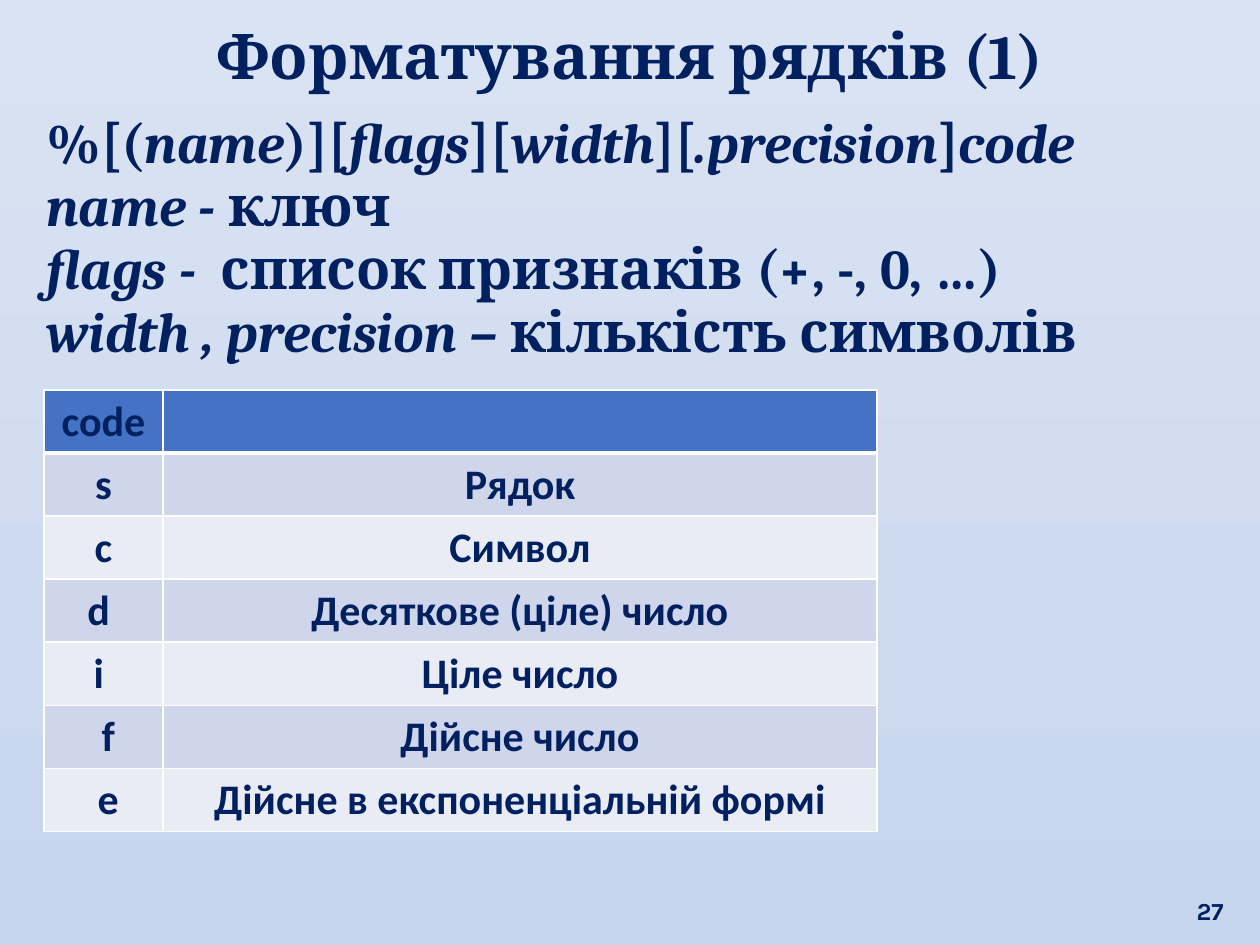
import pptx
import pptx.dml.color
import pptx.enum.text
import pptx.oxml
import pptx.oxml.ns
import pptx.util

PX = 914400 / 126
ALIGN = pptx.enum.text.PP_ALIGN
ANCHOR = pptx.enum.text.MSO_ANCHOR

THEME = {
    "ink": "002060", "head": "4472C4", "bands": ("CFD5EA", "E9EBF5"),
    "line": "FFFFFF", "sky": ("DAE3F3", "C7D5ED"),
    "title": {"name": "Cambria", "size": 36},
    "body": {"name": "Cambria", "size": 32},
    "cell": {"name": "Calibri", "size": 24},
    "page": {"name": "Karla", "size": 14},
}

TITLE = "Форматування рядків (1)"
PAGE = "27"
# Each line is a list of (text, italic) runs.
SYNTAX = [
    [("%[(", False), ("name", True), (")][", False), ("flags", True),
     ("][", False), ("width", True), ("][", False), (".precision", True),
     ("]", False), ("code", True)],
    [("name - ", True), ("ключ", False)],
    [("flags -  ", True), ("список признаків (+, -, 0, …)", False)],
    [("width , precision – ", True), ("кількість символів", False)],
]
CODES = [
    ("code", ""),
    ("s", "Рядок"),
    ("c", "Символ"),
    ("d ", "Десяткове (ціле) число"),
    ("i ", "Ціле число"),
    (" f", "Дійсне число"),
    (" e", "Дійсне в експоненціальній формі"),
]
COLS = (119, 714)
ROW = 63


def px(n):
    return pptx.util.Emu(round(n * PX))


def rgb(code):
    return pptx.dml.color.RGBColor.from_string(code)


def put(frame, lines, style, **form):
    """Write lines of (text, italic) runs with one font and paragraph format."""
    for i, line in enumerate(lines):
        para = frame.paragraphs[0] if i == 0 else frame.add_paragraph()
        for key, val in form.items():
            setattr(para, key, val)
        for text, slant in line:
            run = para.add_run()
            run.text = text
            font = {"name": THEME[style]["name"], "bold": True, "italic": slant,
                    "size": pptx.util.Pt(THEME[style]["size"])}
            for key, val in font.items():
                setattr(run.font, key, val)
            run.font.color.rgb = rgb(THEME["ink"])


def box(slide, at, lines, style, anchor=ANCHOR.TOP, **form):
    frame = slide.shapes.add_textbox(*map(px, at)).text_frame
    frame.word_wrap = True
    frame.vertical_anchor = anchor
    put(frame, lines, style, **form)


def edge(cell, widths):
    """Add cell borders; widths maps a side (L, R, T, B) to points."""
    props = cell._tc.get_or_add_tcPr()
    for side, width in widths.items():
        props.append(pptx.oxml.parse_xml(
            f'<a:ln{side} {pptx.oxml.ns.nsdecls("a")} w="{pptx.util.Pt(width)}">'
            f'<a:solidFill><a:srgbClr val="{THEME["line"]}"/></a:solidFill>'
            f'</a:ln{side}>'))


def grid(slide, left, top):
    count = len(CODES)
    table = slide.shapes.add_table(
        count, len(COLS), px(left), px(top), px(sum(COLS)), px(ROW * count)).table
    for col, width in zip(table.columns, COLS):
        col.width = px(width)
    for r, row in enumerate(CODES):
        table.rows[r].height = px(ROW)
        tint = THEME["bands"][(r - 1) % 2] if r else THEME["head"]
        for c, text in enumerate(row):
            cell = table.cell(r, c)
            edge(cell, {"L": 1, "R": 1, "T": 3 if r == 1 else 1,
                        "B": 3 if r == 0 else 1})
            cell.fill.solid()
            cell.fill.fore_color.rgb = rgb(tint)
            if text:
                put(cell.text_frame, [[(text, False)]], "cell",
                    alignment=ALIGN.CENTER)


def main():
    deck = pptx.Presentation()
    deck.slide_width, deck.slide_height = px(1260), px(945)
    slide = deck.slides.add_slide(deck.slide_layouts[6])

    fill = slide.background.fill
    fill.gradient()
    fill.gradient_angle = 270
    for stop, code in zip(fill.gradient_stops, THEME["sky"]):
        stop.color.rgb = rgb(code)

    box(slide, (15, 10, 1230, 89), [[(TITLE, False)]], "title",
        alignment=ALIGN.CENTER)
    box(slide, (1176, 869, 60, 63), [[(PAGE, False)]], "page",
        anchor=ANCHOR.BOTTOM, alignment=ALIGN.RIGHT)
    box(slide, (34, 116, 1192, 260), SYNTAX, "body",
        line_spacing=pptx.util.Pt(30), space_after=pptx.util.Pt(6))
    grid(slide, 44, 390)
    deck.save("out.pptx")


if __name__ == "__main__":
    main()
